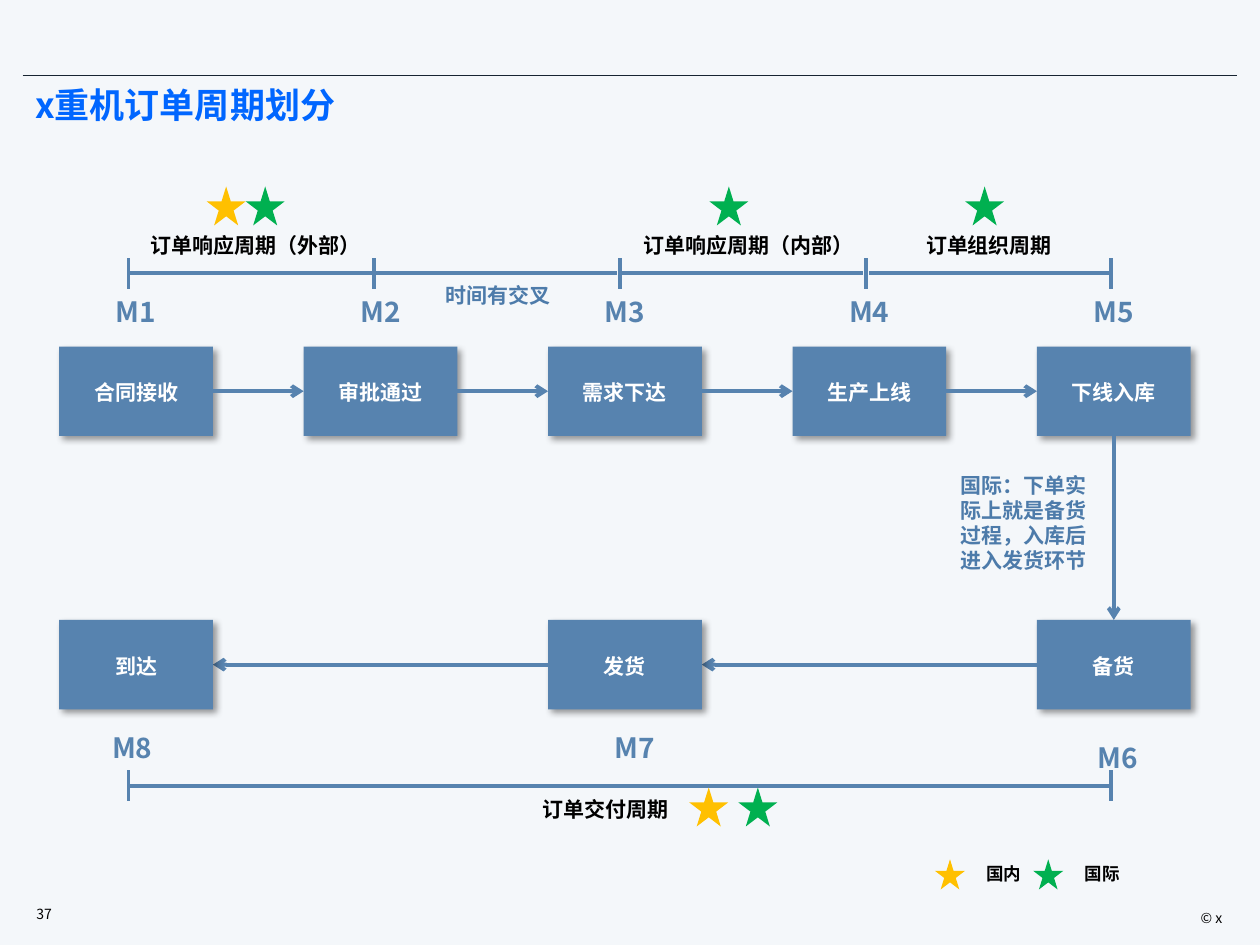
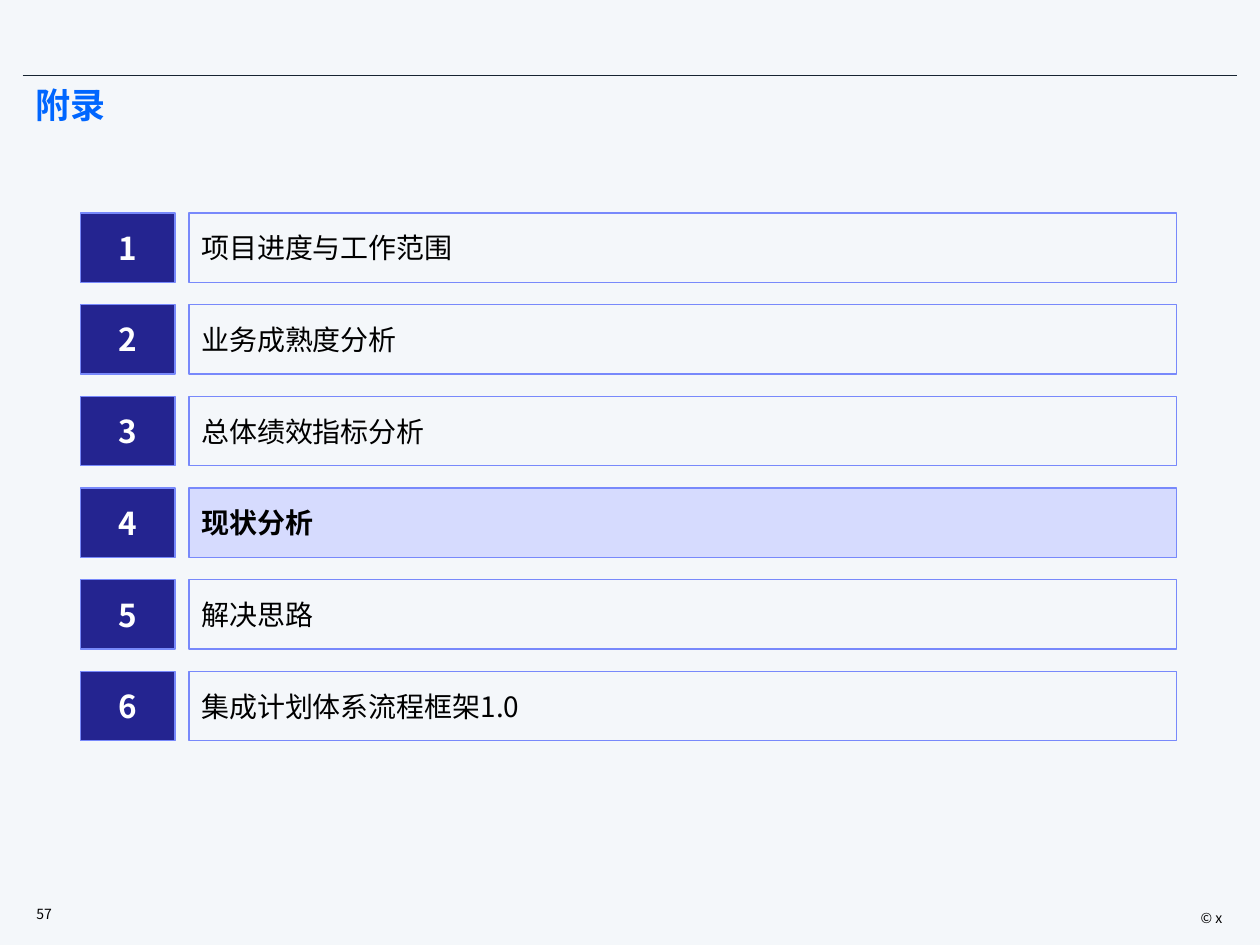
from lxml import etree
from pptx import Presentation
from pptx.dml.color import RGBColor
from pptx.enum.shapes import MSO_CONNECTOR, MSO_SHAPE
from pptx.enum.text import MSO_ANCHOR, PP_ALIGN
from pptx.oxml.ns import qn
from pptx.util import Inches, Pt

# Shared style
FONT = "Noto Sans CJK SC"
BACK, RULE, TITLE, BLACK, WHITE = "F4F7FA", "172431", "0066FF", "000000", "FFFFFF"
STEEL, NOTE, GOLD, GREEN = "5783AF", "4D7BAA", "FFC000", "00B050"
NAVY, FRAME, ACTIVE = "242490", "7889FB", "D6DBFE"
LEFT, CENTER, RIGHT = PP_ALIGN.LEFT, PP_ALIGN.CENTER, PP_ALIGN.RIGHT
COPYRIGHT = "© x"

# Order cycle content
CYCLE_TITLE, CYCLE_PAGE = "x重机订单周期划分", "37"
TOP_STEPS = ["合同接收", "审批通过", "需求下达", "生产上线", "下线入库"]
BOTTOM_STEPS = [(4, "备货"), (2, "发货"), (0, "到达")]  # column, name
LATE_MILESTONES = [("M6", 8.52, 5.83), ("M7", 4.69, 5.75), ("M8", 0.7, 5.75)]
PERIODS = [  # name, left, top, width, colour
    ("订单响应周期（外部）", 1.09, 1.8, 1.88, BLACK),
    ("订单响应周期（内部）", 5, 1.8, 1.88, BLACK),
    ("订单组织周期", 6.95, 1.8, 1.8, BLACK),
    ("时间有交叉", 3.05, 2.19, 1.8, NOTE),
    ("订单交付周期", 3.91, 6.27, 1.8, BLACK),
]
STOCK_NOTE = "国际：下单实际上就是备货过程，入库后进入发货环节"
STARS = [  # left, top, colour
    (1.64, 1.48, GOLD), (1.95, 1.48, GREEN), (5.63, 1.48, GREEN),
    (7.66, 1.48, GREEN), (5.47, 6.25, GOLD), (5.86, 6.25, GREEN),
]
LEGEND = [("国内", GOLD), ("国际", GREEN)]

# Appendix content
APPENDIX_TITLE, APPENDIX_PAGE = "附录", "57"
TOPICS = ["项目进度与工作范围", "业务成熟度分析", "总体绩效指标分析",
          "现状分析", "解决思路", "集成计划体系流程框架1.0"]
CURRENT = "现状分析"

# Order cycle geometry
STEP_W, STEP_H, STEP_X, STEP_PITCH = 1.22, 0.71, 0.47, 1.94
TOP_Y, BOTTOM_Y = 2.75, 4.92
TICK_X, TICK_PITCH, TICK_H = 1.02, 1.95, 0.24


def rgb(color):
    return RGBColor.from_string(color)


def write(sp, text, size=12, color=BLACK, bold=False, align=LEFT,
          anchor=MSO_ANCHOR.TOP, inset=(0.1, 0.05), spacing=None, wrap=True):
    tf = sp.text_frame
    tf.word_wrap = wrap
    tf.vertical_anchor = anchor
    tf.margin_left = tf.margin_right = Inches(inset[0])
    tf.margin_top = tf.margin_bottom = Inches(inset[1])
    p = tf.paragraphs[0]
    p.alignment = align
    if spacing:
        p.line_spacing = spacing
    r = p.add_run()
    r.text = text
    r.font.name, r.font.size, r.font.bold = FONT, Pt(size), bold
    r.font.color.rgb = rgb(color)
    ea = etree.SubElement(r.font._element, qn("a:ea"))
    ea.set("typeface", FONT)


def label(s, text, x, y, w, h, **fmt):
    write(s.shapes.add_textbox(Inches(x), Inches(y), Inches(w), Inches(h)), text, **fmt)


def shape(s, kind, x, y, w, h, fill=None, line=None):
    sp = s.shapes.add_shape(kind, Inches(x), Inches(y), Inches(w), Inches(h))
    sp.shadow.inherit = False
    if fill:
        sp.fill.solid()
        sp.fill.fore_color.rgb = rgb(fill)
    else:
        sp.fill.background()
    if line:
        sp.line.color.rgb = rgb(line)
        sp.line.width = Pt(0.75)
    else:
        sp.line.fill.background()
    return sp


def connect(s, x1, y1, x2, y2, color=STEEL, width=2.25, arrow=False):
    c = s.shapes.add_connector(MSO_CONNECTOR.STRAIGHT, Inches(x1), Inches(y1),
                               Inches(x2), Inches(y2))
    c.line.color.rgb = rgb(color)
    c.line.width = Pt(width)
    if arrow:
        etree.SubElement(c.line._get_or_add_ln(), qn("a:tailEnd")).set("type", "arrow")
    etree.SubElement(c._element.spPr, qn("a:effectLst"))


def drop_shadow(sp):
    effects = sp._element.spPr.find(qn("a:effectLst"))
    outer = etree.SubElement(effects, qn("a:outerShdw"), blurRad=str(Pt(4)),
                             dist=str(Pt(3)), dir="2700000", algn="tl", rotWithShape="0")
    clr = etree.SubElement(outer, qn("a:srgbClr"), val=BLACK)
    etree.SubElement(clr, qn("a:alpha"), val="40000")


def new_slide(prs, title, page):
    s = prs.slides.add_slide(prs.slide_layouts[6])
    s.background.fill.solid()
    s.background.fill.fore_color.rgb = rgb(BACK)
    connect(s, 0.18, 0.6, 9.82, 0.6, color=RULE, width=1)
    label(s, COPYRIGHT, 8.3, 7.17, 1.5, 0.2, size=8, align=RIGHT)
    label(s, page, 0.19, 7.13, 0.7, 0.24, size=8, anchor=MSO_ANCHOR.MIDDLE)
    label(s, title, 0.18, 0.65, 9.65, 0.76, size=20, color=TITLE, bold=True, spacing=0.9)
    return s


def step_x(col):
    return STEP_X + col * STEP_PITCH


def step(s, name, col, y):
    sp = shape(s, MSO_SHAPE.RECTANGLE, step_x(col), y, STEP_W, STEP_H, fill=STEEL)
    drop_shadow(sp)
    write(sp, name, color=WHITE, bold=True, align=CENTER, anchor=MSO_ANCHOR.MIDDLE,
          inset=(0.04, 0.04), spacing=1.1)


def milestone(s, name, x, y):
    label(s, name, x, y, 0.7, 0.37, size=16, color=STEEL, bold=True, align=CENTER)


def tick(s, x, y):
    connect(s, x, y - TICK_H / 2, x, y + TICK_H / 2)


def star(s, x, y, size, color):
    shape(s, MSO_SHAPE.STAR_5_POINT, x, y, size, size, fill=color)


def order_cycle(prs):
    s = new_slide(prs, CYCLE_TITLE, CYCLE_PAGE)

    # Upper row of steps with their milestones
    mid = TOP_Y + STEP_H / 2
    for i, name in enumerate(TOP_STEPS):
        step(s, name, i, TOP_Y)
        milestone(s, f"M{i + 1}", step_x(i) + 0.26, 2.29)
        if i:
            connect(s, step_x(i - 1) + STEP_W, mid, step_x(i), mid, arrow=True)

    # Lower row, running right to left
    down_x = step_x(4) + STEP_W / 2
    connect(s, down_x, TOP_Y + STEP_H, down_x, BOTTOM_Y, arrow=True)
    mid = BOTTOM_Y + STEP_H / 2
    for col, name in BOTTOM_STEPS:
        step(s, name, col, BOTTOM_Y)
        if col:
            connect(s, step_x(col), mid, step_x(col - 2) + STEP_W, mid, arrow=True)
    for name, x, y in LATE_MILESTONES:
        milestone(s, name, x, y)

    # Time lines
    ticks = [TICK_X + i * TICK_PITCH for i in range(len(TOP_STEPS))]
    for x in ticks:
        tick(s, x, 2.17)
    for x in ticks[:-1]:
        start = x + 0.03 if x == ticks[-2] else x
        connect(s, start, 2.17, start + 1.93, 2.17)
    connect(s, ticks[0], 6.235, ticks[-1], 6.235)
    for x in (ticks[0], ticks[-1]):
        tick(s, x, 6.235)

    # Period names, note, stars and legend
    for name, x, y, w, color in PERIODS:
        label(s, name, x, y, w, 0.3, color=color, bold=True, align=CENTER)
    label(s, STOCK_NOTE, 7.5, 3.7, 1.25, 0.91, color=NOTE, bold=True, align=CENTER)
    for x, y, color in STARS:
        star(s, x, y, 0.31, color)
    for i, (name, color) in enumerate(LEGEND):
        x = 7.42 + i * 0.78
        star(s, x, 6.82, 0.24, color)
        label(s, name, x + 0.31, 6.8, 0.79, 0.27, size=10, bold=True,
              anchor=MSO_ANCHOR.MIDDLE)


def appendix(prs):
    s = new_slide(prs, APPENDIX_TITLE, APPENDIX_PAGE)
    for i, topic in enumerate(TOPICS):
        y = 1.69 + i * 3.64 / 5
        current = topic == CURRENT
        number = shape(s, MSO_SHAPE.RECTANGLE, 0.64, y, 0.75, 0.55, NAVY, FRAME)
        write(number, str(i + 1), size=18, color=WHITE, bold=True, align=CENTER,
              anchor=MSO_ANCHOR.MIDDLE, wrap=False)
        bar = shape(s, MSO_SHAPE.RECTANGLE, 1.5, y, 7.84, 0.55,
                    ACTIVE if current else None, FRAME)
        write(bar, topic, size=16, bold=current, anchor=MSO_ANCHOR.MIDDLE, wrap=False)


def main():
    prs = Presentation()
    prs.slide_width, prs.slide_height = Inches(10), Inches(7.5)
    order_cycle(prs)
    appendix(prs)
    prs.save("out.pptx")


if __name__ == "__main__":
    main()
